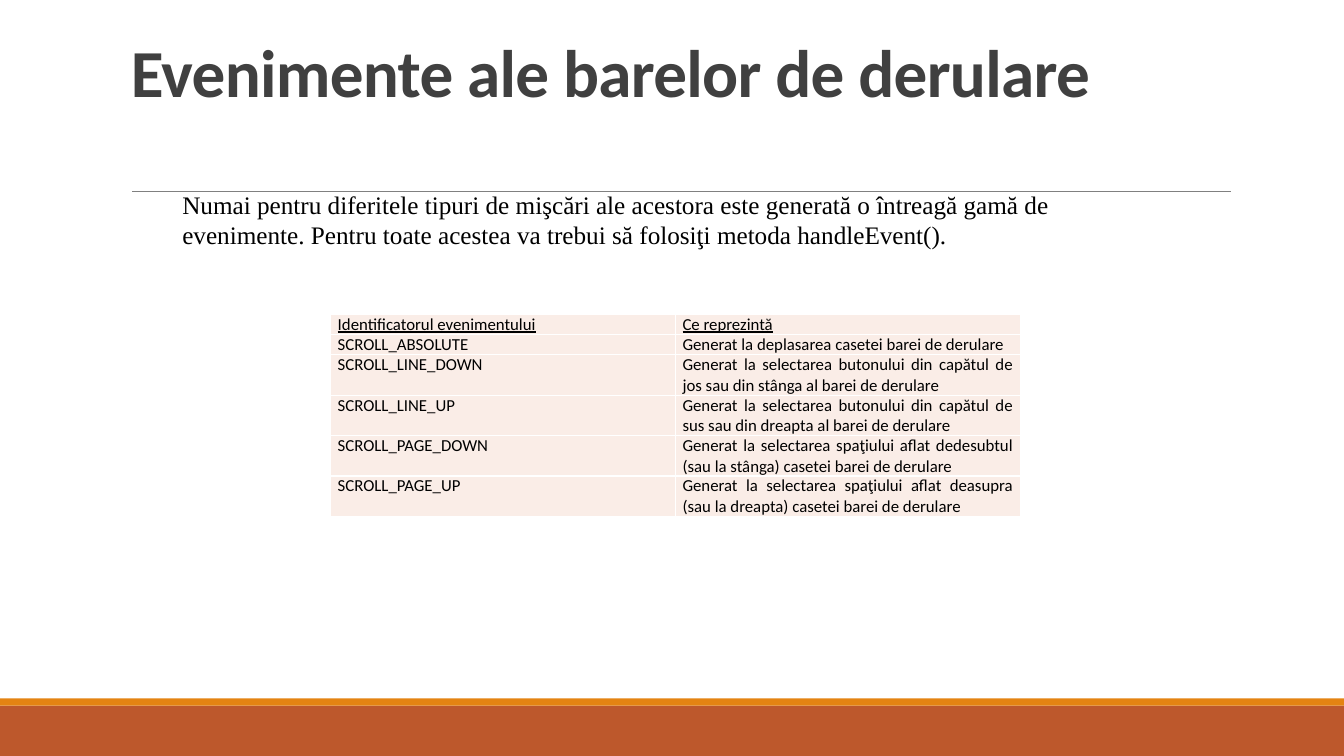
from lxml.etree import SubElement
from pptx import Presentation
from pptx.dml.color import RGBColor
from pptx.enum.shapes import MSO_CONNECTOR, MSO_SHAPE
from pptx.enum.text import PP_ALIGN
from pptx.oxml.ns import qn
from pptx.util import Inches, Pt

WIDE, HIGH = Inches(13.33), Inches(7.5)
RUST = RGBColor(0xBD, 0x58, 0x2C)
AMBER = RGBColor(0xE4, 0x83, 0x12)
GREY = RGBColor(0x80, 0x80, 0x80)
DARK = RGBColor(0x40, 0x40, 0x40)
BLACK = RGBColor(0, 0, 0)
BLUSH = RGBColor(0xFA, 0xED, 0xE7)

TITLE = "Evenimente ale barelor de derulare"
INTRO = ("Numai pentru diferitele tipuri de mişcări ale acestora este generată "
         "o întreagă gamă de evenimente. Pentru toate acestea va trebui să "
         "folosiţi metoda handleEvent().")
PRESS = "Generat la selectarea butonului din capătul de "
SPACE = "Generat la selectarea spaţiului aflat "
EVENTS = [
    ("Identificatorul evenimentului", "Ce reprezintă"),
    ("SCROLL_ABSOLUTE", "Generat la deplasarea casetei barei de derulare"),
    ("SCROLL_LINE_DOWN", PRESS + "jos sau din stânga al barei de derulare"),
    ("SCROLL_LINE_UP", PRESS + "sus sau din dreapta al barei de derulare"),
    ("SCROLL_PAGE_DOWN",
     SPACE + "dedesubtul (sau la stânga) casetei barei de derulare"),
    ("SCROLL_PAGE_UP",
     SPACE + "deasupra (sau la dreapta) casetei barei de derulare"),
]
LINE = Inches(0.2)  # height of one text line in the table
COLUMN = Inches(3.42)


def style(font, name, size, color):
    font.name, font.size = name, Pt(size)
    font.color.rgb = color


def add_band(slide, top, height, color):
    band = slide.shapes.add_shape(MSO_SHAPE.RECTANGLE, 0, top, WIDE, height)
    band.shadow.inherit = False
    band.fill.solid()
    band.fill.fore_color.rgb = color
    band.line.fill.background()


def add_rule(slide, left, right, top):
    rule = slide.shapes.add_connector(
        MSO_CONNECTOR.STRAIGHT, left, top, right, top)
    rule.line.color.rgb = GREY
    rule.line.width = Pt(0.5)
    SubElement(rule._element.spPr, qn("a:effectLst"))


def add_text(slide, text, left, top, width, height):
    """Add a wrapped text box and return its paragraph."""
    frame = slide.shapes.add_textbox(left, top, width, height).text_frame
    frame.word_wrap = True
    para = frame.paragraphs[0]
    para.text = text
    return para


def edge(cell):
    """Draw a thin white border on all four sides."""
    props = cell._tc.get_or_add_tcPr()
    for index, side in enumerate(("lnL", "lnR", "lnT", "lnB")):
        line = props.makeelement(qn("a:" + side), {"w": str(Pt(1))})
        fill = SubElement(line, qn("a:solidFill"))
        SubElement(fill, qn("a:srgbClr"), val="FFFFFF")
        props.insert(index, line)


def fill_cell(cell, text, head):
    cell.margin_left = cell.margin_right = Inches(0.07)
    cell.margin_top = cell.margin_bottom = 0
    cell.fill.solid()
    cell.fill.fore_color.rgb = BLUSH
    edge(cell)
    para = cell.text_frame.paragraphs[0]
    para.text = text
    para.alignment = PP_ALIGN.JUSTIFY
    style(para.font, "Calibri", 12, BLACK)
    para.font.underline = head


def add_table(slide, rows, left, top):
    lines = [1, 1] + [2] * (len(rows) - 2)
    table = slide.shapes.add_table(
        len(rows), 2, left, top, 2 * COLUMN, sum(lines) * LINE).table
    table.first_row = table.horz_banding = False
    for column in table.columns:
        column.width = COLUMN
    for r, texts in enumerate(rows):
        table.rows[r].height = lines[r] * LINE
        for c, text in enumerate(texts):
            fill_cell(table.cell(r, c), text, r == 0)


def main():
    deck = Presentation()
    deck.slide_width, deck.slide_height = WIDE, HIGH
    slide = deck.slides.add_slide(deck.slide_layouts[6])

    foot, strip = Inches(0.5), Inches(0.07)
    add_band(slide, HIGH - foot, foot, RUST)
    add_band(slide, HIGH - foot - strip, strip, AMBER)
    add_rule(slide, Inches(1.31), Inches(12.21), Inches(1.9))

    title = add_text(slide, TITLE, Inches(1.2), Inches(0.37),
                     Inches(11), Inches(1.53))
    title.line_spacing = 0.85
    style(title.font, "Calibri", 48, DARK)
    title.font.bold = True
    title.runs[0]._r.get_or_add_rPr().set("spc", "-50")

    add_table(slide, EVENTS, Inches(3.28), Inches(3.12))
    intro = add_text(slide, INTRO, Inches(1.71), Inches(1.83),
                     Inches(9.87), Inches(0.71))
    style(intro.font, "Times New Roman", 18, BLACK)
    deck.save("out.pptx")


if __name__ == "__main__":
    main()
